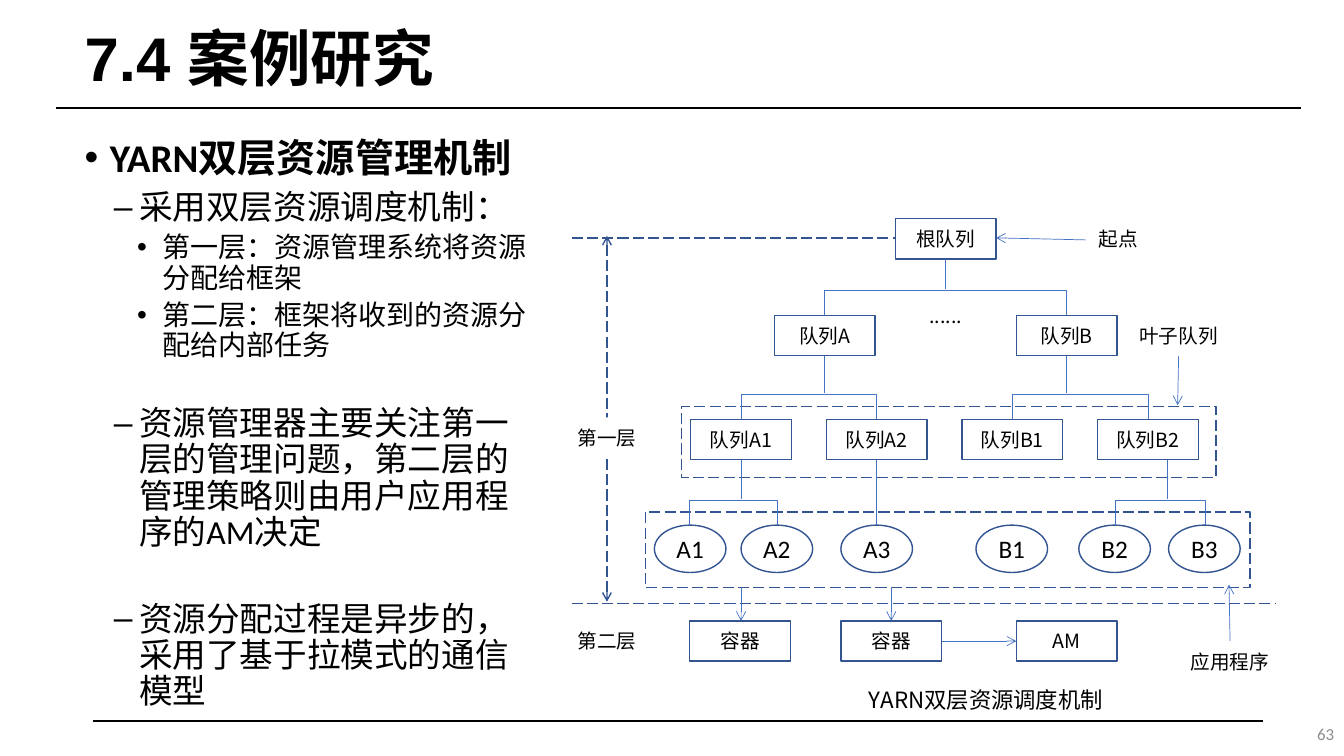
from lxml import etree
from pptx import Presentation
from pptx.dml.color import RGBColor
from pptx.enum.dml import MSO_LINE
from pptx.enum.lang import MSO_LANGUAGE_ID
from pptx.enum.shapes import MSO_CONNECTOR, MSO_SHAPE
from pptx.enum.text import MSO_ANCHOR, MSO_AUTO_SIZE, PP_ALIGN
from pptx.oxml.ns import qn
from pptx.util import Inches, Pt

BLACK = RGBColor(0x00, 0x00, 0x00)
WHITE = RGBColor(0xFF, 0xFF, 0xFF)
GREY = RGBColor(0x8C, 0x8C, 0x8C)
OUTLINE = RGBColor(0x32, 0x54, 0x91)
LINK = RGBColor(0x44, 0x72, 0xC4)
HEAD_FONT, BODY_FONT, LABEL_FONT = "Arial", "Calibri", "Noto Sans CJK SC"
RECTANGLE, ELLIPSE = MSO_SHAPE.RECTANGLE, MSO_SHAPE.OVAL
STRAIGHT, ELBOW = MSO_CONNECTOR.STRAIGHT, MSO_CONNECTOR.ELBOW
LEFT, CENTER, RIGHT = PP_ALIGN.LEFT, PP_ALIGN.CENTER, PP_ALIGN.RIGHT
TOP, MIDDLE = MSO_ANCHOR.TOP, MSO_ANCHOR.MIDDLE
LONG_DASH = MSO_LINE.LONG_DASH
CHINESE = MSO_LANGUAGE_ID.SIMPLIFIED_CHINESE

BOX_WIDTH, BOX_HEIGHT = 1, 0.4
TASK_WIDTH, TASK_HEIGHT = 0.71, 0.47


def write(paragraph, text, size=14, font=LABEL_FONT, color=BLACK, bold=False,
          align=LEFT, spacing=1.0, before=0):
    paragraph.alignment = align
    paragraph.line_spacing = spacing
    paragraph.space_before = Pt(before)
    run = paragraph.add_run()
    run.text = text
    run.font.size = Pt(size)
    run.font.name = font
    run.font.bold = bold
    run.font.color.rgb = color
    run.font.language_id = CHINESE
    if font == LABEL_FONT:
        etree.SubElement(run.font._element, qn("a:ea"), typeface=font)


class SlideBuilder:
    indents = (0.25, 0.75, 0.98)
    hanging = -0.25

    def __init__(self, slide):
        self.slide = slide
        self.shapes = slide.shapes

    def place(self, shape, left, top, width, height, anchor):
        shape.left, shape.top = Inches(left), Inches(top)
        shape.width, shape.height = Inches(width), Inches(height)
        frame = shape.text_frame
        frame.word_wrap = True
        frame.auto_size = MSO_AUTO_SIZE.NONE
        frame.vertical_anchor = anchor
        return frame

    def title(self, text, *area):
        frame = self.place(self.shapes.title, *area, MIDDLE)
        write(frame.paragraphs[0], text, size=44, font=HEAD_FONT, bold=True, spacing=0.9)

    def bullets(self, index, area, items):
        frame = self.place(self.slide.placeholders[index], *area, TOP)
        for number, (level, text, style) in enumerate(items):
            paragraph = frame.add_paragraph() if number else frame.paragraphs[0]
            paragraph.level = level
            properties = paragraph._p.get_or_add_pPr()
            properties.set("marL", str(Inches(self.indents[level])))
            properties.set("indent", str(Inches(self.hanging)))
            write(paragraph, text, font=BODY_FONT, **style)

    def shape(self, kind, left, top, width, height, text="", fill=None,
              outline=OUTLINE, dash=None, **style):
        shape = self.shapes.add_shape(
            kind, Inches(left), Inches(top), Inches(width), Inches(height))
        shape.shadow.inherit = False
        if fill is None:
            shape.fill.background()
        else:
            shape.fill.solid()
            shape.fill.fore_color.rgb = fill
        if outline is None:
            shape.line.fill.background()
        else:
            shape.line.color.rgb = outline
            shape.line.width = Pt(1)
            shape.line.dash_style = dash
        if text:
            frame = shape.text_frame
            frame.word_wrap = True
            frame.margin_left = frame.margin_right = 0
            frame.vertical_anchor = MIDDLE
            write(frame.paragraphs[0], text, align=CENTER, **style)

    def box(self, text, left, top, **look):
        self.shape(RECTANGLE, left, top, BOX_WIDTH, BOX_HEIGHT, text, **look)

    def label(self, text, left, top, width=BOX_WIDTH, height=BOX_HEIGHT,
              align=CENTER, margin=0, **style):
        textbox = self.shapes.add_textbox(0, 0, 0, 0)
        frame = self.place(textbox, left, top, width, height, MIDDLE)
        frame.margin_left = frame.margin_right = Inches(margin)
        write(frame.paragraphs[0], text, align=align, **style)

    def line(self, x1, y1, x2, y2, color=LINK, width=0.5, dash=None,
             heads=(), kind=STRAIGHT):
        connector = self.shapes.add_connector(
            kind, Inches(x1), Inches(y1), Inches(x2), Inches(y2))
        connector.line.color.rgb = color
        connector.line.width = Pt(width)
        connector.line.dash_style = dash
        for head in heads:
            etree.SubElement(connector.line._get_or_add_ln(), qn(head), type="arrow")
        etree.SubElement(connector._element.spPr, qn("a:effectLst"))
        return connector

    def arrow(self, *points):
        self.line(*points, heads=["a:tailEnd"])

    def branch(self, left, right, bottom, rise=0.26, depth=0.01):
        """Elbow that joins two points of equal height by a rail above them."""
        middle, half = (left + right) / 2, (right - left) / 2
        connector = self.line(middle - depth / 2, bottom - half,
                              middle + depth / 2, bottom + half, kind=ELBOW)
        properties = connector._element.spPr
        properties.find(qn("a:xfrm")).set("rot", str(270 * 60000))
        adjustments = properties.find(qn("a:prstGeom")).find(qn("a:avLst"))
        etree.SubElement(adjustments, qn("a:gd"), name="adj1",
                         fmla=f"val {round(rise / depth * 100000)}")


def main():
    presentation = Presentation()
    presentation.slide_width, presentation.slide_height = Inches(13.33), Inches(7.5)
    slide = presentation.slides.add_slide(presentation.slide_layouts[3])
    builder = SlideBuilder(slide)

    # Frame lines, title and page number
    builder.line(0.56, 1.07, 12.9, 1.07, color=BLACK, width=1.75)
    builder.line(0.92, 7.15, 12.53, 7.15, color=BLACK, width=1.25)
    builder.title("7.4 案例研究", 0.74, 0.15, 11.95, 0.92)
    builder.label("63", 10.33, 7.08, width=3, align=RIGHT, margin=0.1,
                  size=12, font=BODY_FONT, color=GREY)

    # Lists
    point = dict(size=24, spacing=0.9)
    detail = dict(size=20, spacing=0.9, before=5)
    builder.bullets(1, (0.74, 1.27, 11.95, 1.14), [
        (0, "YARN双层资源管理机制", dict(size=28, bold=True))])
    builder.bullets(2, (0.53, 1.84, 4.85, 5.29), [
        (1, "采用双层资源调度机制：", point),
        (2, "第一层：资源管理系统将资源分配给框架", detail),
        (2, "第二层：框架将收到的资源分配给内部任务", detail),
        (1, "资源管理器主要关注第一层的管理问题，第二层的管理策略则由用户应用程序的AM决定",
         dict(point, before=32)),
        (1, "资源分配过程是异步的，采用了基于拉模式的通信模型", dict(point, before=36))])

    # Queues, tasks and containers
    builder.box("根队列", 8.88, 2.17)
    for name, left in (("A", 7.68), ("B", 10.08)):
        builder.box("队列" + name, left, 3.13)
    for number, name in enumerate(("A1", "A2", "B1", "B2")):
        builder.box("队列" + name, 6.85 + 1.345 * number, 4.16)
    for name, left in (("A1", 6.49), ("A2", 7.35), ("A3", 8.34),
                       ("B1", 9.68), ("B2", 10.7), ("B3", 11.59)):
        builder.shape(ELLIPSE, left, 5.21, TASK_WIDTH, TASK_HEIGHT, name,
                      size=18, font=BODY_FONT)
    for name, left in (("容器", 6.84), ("容器", 8.34), ("AM", 10.08)):
        builder.box(name, left, 6.16)

    # Dashed groups of leaf queues and applications
    for area in ((6.76, 4.03, 5.3, 0.71), (6.4, 5.08, 6, 0.75)):
        builder.shape(RECTANGLE, *area, dash=LONG_DASH)

    # Tree: stem from the parent, then a branch to its two children
    for stem, parent_bottom, left, right, child_top in (
            (9.38, 2.57, 8.18, 10.58, 3.13),
            (8.18, 3.53, 7.35, 8.69, 4.16),
            (10.58, 3.53, 10.04, 11.39, 4.16),
            (7.35, 4.56, 6.84, 7.71, 5.21),
            (11.58, 4.56, 11.06, 11.95, 5.21)):
        builder.line(stem, parent_bottom, stem, child_top - 0.26)
        builder.branch(left, right, child_top)
    builder.line(8.69, 4.56, 8.69, 5.21)

    # Level limits and level names
    limit = dict(color=OUTLINE, width=1, dash=LONG_DASH)
    builder.line(5.67, 2.36, 8.88, 2.36, **limit)
    builder.line(5.67, 5.99, 12.65, 5.99, **limit)
    builder.line(6.02, 2.34, 6.02, 5.97, heads=["a:headEnd", "a:tailEnd"], **limit)
    for name, top in (("第一层", 4.14), ("第二层", 6.16)):
        builder.box(name, 5.52, top, fill=WHITE, outline=None)

    # Arrows
    builder.arrow(7.35, 5.82, 7.35, 6.16)
    builder.arrow(8.84, 5.82, 8.84, 6.16)
    builder.arrow(9.34, 6.36, 10.08, 6.36)
    builder.arrow(10.77, 2.38, 9.88, 2.36)
    builder.arrow(11.69, 3.53, 11.68, 4.02)
    builder.arrow(12.2, 6.36, 12.19, 5.8)

    # Labels and caption
    for text, left, top in (("起点", 10.59, 2.17), ("......", 8.88, 2.93),
                            ("叶子队列", 11.19, 3.13), ("应用程序", 11.7, 6.36)):
        builder.label(text, left, top)
    builder.label("YARN双层资源调度机制", 8.46, 6.76, width=2.64, height=0.37, size=16)

    presentation.save("out.pptx")


if __name__ == "__main__":
    main()
